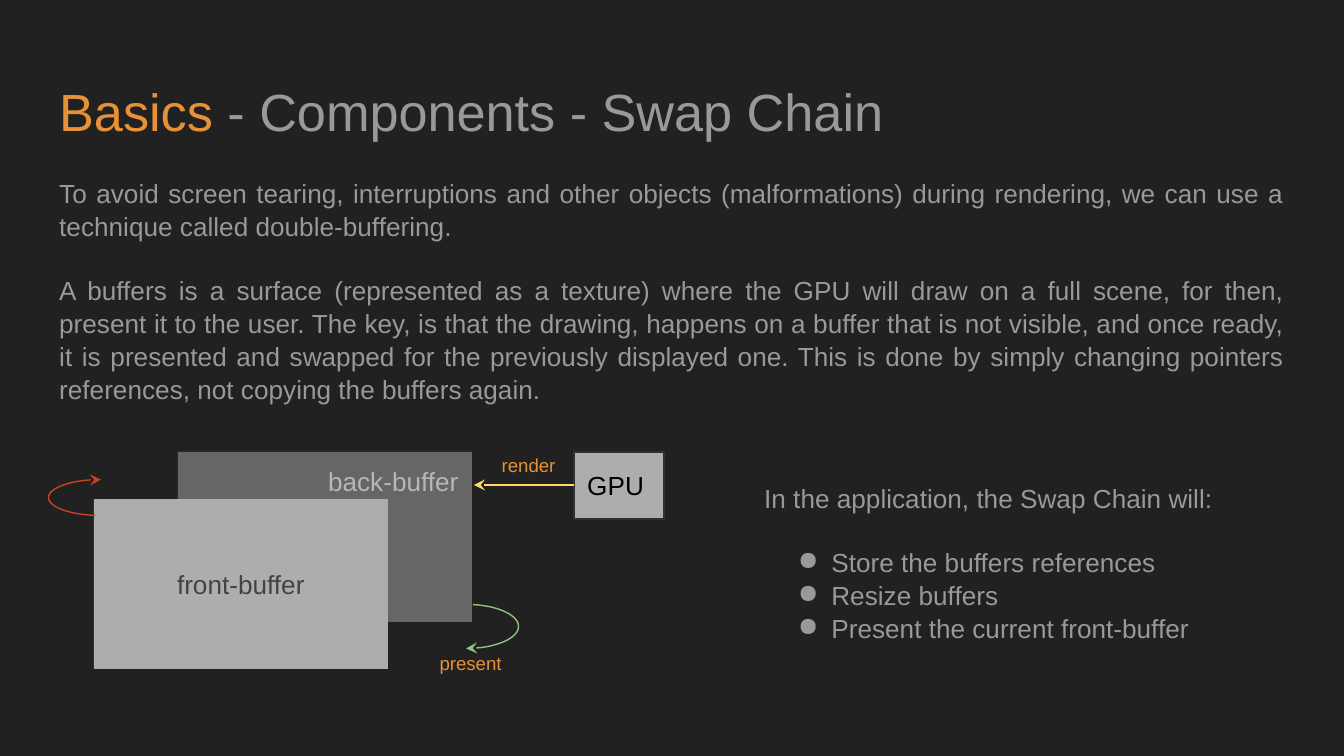
import pptx
import pptx.util
import pptx.dml.color
import pptx.enum.shapes
import pptx.enum.text
import pptx.oxml
import pptx.oxml.ns

RGB = pptx.dml.color.RGBColor
SHAPE = pptx.enum.shapes.MSO_SHAPE
ALIGN = pptx.enum.text.PP_ALIGN
ANCHOR = pptx.enum.text.MSO_ANCHOR
Pt = pptx.util.Pt
PX = 914400 / 134.4

BACKGROUND = RGB(0x21, 0x21, 0x21)
ORANGE = RGB(0xE6, 0x91, 0x38)
GRAY = RGB(0x99, 0x99, 0x99)
BACK_FILL = RGB(0x66, 0x66, 0x66)
BACK_TEXT = RGB(0xB7, 0xB7, 0xB7)
FRONT_FILL = RGB(0xAD, 0xAD, 0xAD)
FRONT_TEXT = RGB(0x43, 0x43, 0x43)
GPU_LINE = RGB(0x30, 0x30, 0x30)
BLACK = RGB(0, 0, 0)
YELLOW = RGB(0xFF, 0xD9, 0x66)
GREEN = RGB(0x93, 0xC4, 0x7D)
RED = RGB(0xCC, 0x41, 0x25)


def px(*values):
    return [round(v * PX) for v in values]


def write(s, *paragraphs, size=14, color=GRAY, align=ALIGN.LEFT, anchor=ANCHOR.MIDDLE,
          spacing=None, gap_at=None, bullets_from=None):
    tf = s.text_frame
    tf.word_wrap = True
    tf.vertical_anchor = anchor
    tf.margin_left = tf.margin_right = tf.margin_top = tf.margin_bottom = pptx.util.Inches(0.1)
    for i, runs in enumerate(paragraphs):
        p = tf.paragraphs[0] if i == 0 else tf.add_paragraph()
        p.alignment = align
        if spacing:
            p.line_spacing = spacing
        if i == gap_at:
            p.space_before = Pt(16.9)
        if bullets_from is not None and i >= bullets_from:
            pPr = p._p.get_or_add_pPr()
            pPr.set("marL", "457200")
            pPr.set("indent", "-228600")
            ns = pptx.oxml.ns.nsdecls("a")
            for xml in (f'<a:buClr {ns}><a:srgbClr val="{GRAY}"/></a:buClr>',
                        f'<a:buChar {ns} char="●"/>'):
                pPr.append(pptx.oxml.parse_xml(xml))
        for text, run_color in ([(runs, color)] if isinstance(runs, str) else runs):
            r = p.add_run()
            r.text = text
            r.font.name = "Arial"
            r.font.size = Pt(size)
            r.font.color.rgb = run_color


def add_arrow_line(s, color):
    s.line.color.rgb = color
    s.line.width = Pt(0.75)
    ns = pptx.oxml.ns.nsdecls("a")
    s.line._get_or_add_ln().append(pptx.oxml.parse_xml(f'<a:tailEnd {ns} type="stealth"/>'))
    if not s._element.spPr.findall(pptx.oxml.ns.qn("a:effectLst")):
        s._element.spPr.append(pptx.oxml.parse_xml(f"<a:effectLst {ns}/>"))


prs = pptx.Presentation()
prs.slide_width, prs.slide_height = px(1344, 756)
slide = prs.slides.add_slide(prs.slide_layouts[6])
slide.background.fill.solid()
slide.background.fill.fore_color.rgb = BACKGROUND
shapes = slide.shapes

title = shapes.add_textbox(*px(46, 66, 1252, 84))
write(title, [("Basics ", ORANGE), ("- Components - Swap Chain", GRAY)], size=28, anchor=ANCHOR.TOP)

body = shapes.add_textbox(*px(46, 166, 1252, 249))
write(body,
      "To avoid screen tearing, interruptions and other objects (malformations) during rendering, "
      "we can use a technique called double-buffering.",
      "A buffers is a surface (represented as a texture) where the GPU will draw on a full scene, "
      "for then, present it to the user. The key, is that the drawing, happens on a buffer that is "
      "not visible, and once ready, it is presented and swapped for the previously displayed one. "
      "This is done by simply changing pointers references, not copying the buffers again.",
      align=ALIGN.JUSTIFY, spacing=1.05, gap_at=1)

boxes = [
    ("back-buffer", (178, 452, 294, 170), BACK_FILL, None, BACK_TEXT, ALIGN.RIGHT, ANCHOR.TOP),
    ("front-buffer", (94, 499, 294, 170), FRONT_FILL, None, FRONT_TEXT, ALIGN.CENTER, ANCHOR.MIDDLE),
    ("GPU", (574, 452, 90, 67), FRONT_FILL, GPU_LINE, BLACK, ALIGN.LEFT, ANCHOR.MIDDLE),
]
for text, place, fill, line, color, align, anchor in boxes:
    box = shapes.add_shape(SHAPE.RECTANGLE, *px(*place))
    box.shadow.inherit = False
    box.fill.solid()
    box.fill.fore_color.rgb = fill
    if line is None:
        box.line.fill.background()
    else:
        box.line.color.rgb = line
        box.line.width = Pt(0.75)
    write(box, text, color=color, align=align, anchor=anchor)

render = shapes.add_connector(pptx.enum.shapes.MSO_CONNECTOR.STRAIGHT, *px(574, 485, 474, 485))
add_arrow_line(render, YELLOW)

for place, rotation, color in [((444, 574, 44, 105), 90, GREEN), ((83, 445, 36, 105), 270, RED)]:
    arc = shapes.add_shape(SHAPE.ARC, *px(*place))
    arc.rotation = rotation
    arc.adjustments[0] = 118.35
    arc.adjustments[1] = 0
    arc.fill.background()
    add_arrow_line(arc, color)

for text, left, top in [("render", 447, 446), ("present", 389, 644)]:
    label = shapes.add_textbox(*px(left, top, 163, 39))
    write(label, text, size=10, color=ORANGE, align=ALIGN.CENTER)

duties = shapes.add_textbox(*px(751, 441, 547, 243))
write(duties, "In the application, the Swap Chain will:", "Store the buffers references",
      "Resize buffers", "Present the current front-buffer",
      spacing=1.05, gap_at=1, bullets_from=1)

prs.save("out.pptx")
